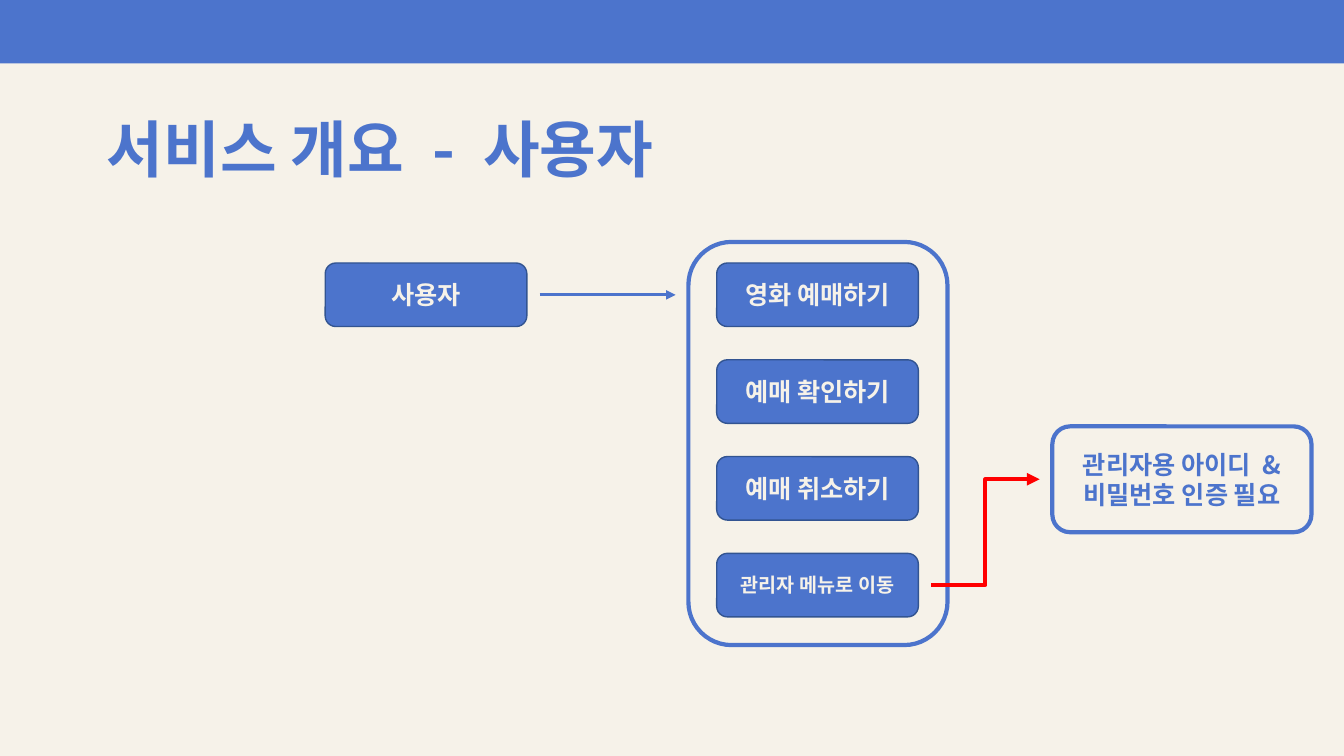
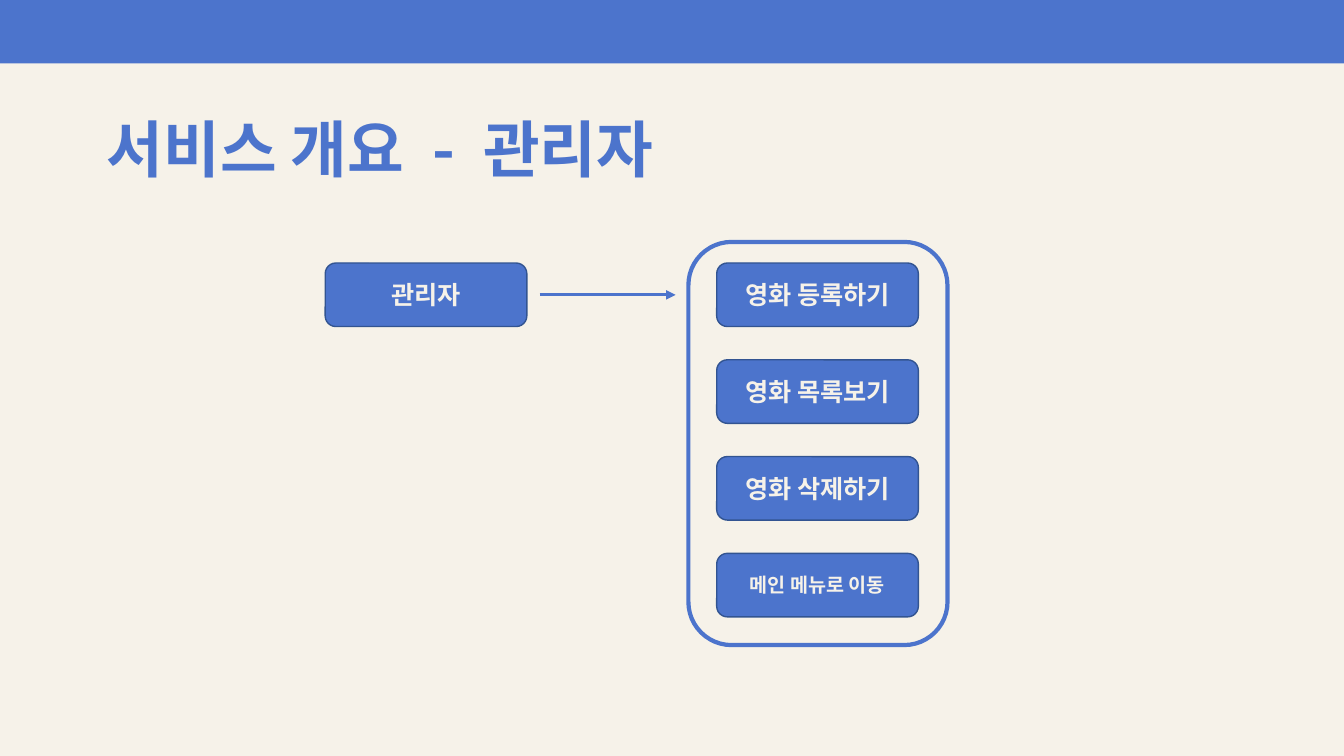
from dataclasses import dataclass

import lxml.etree
import pptx
import pptx.dml.color
import pptx.enum.shapes
import pptx.enum.text
import pptx.oxml.ns
import pptx.util

SHAPE = pptx.enum.shapes.MSO_SHAPE
CONNECTOR = pptx.enum.shapes.MSO_CONNECTOR
ALIGN = pptx.enum.text.PP_ALIGN
SLIDE_WIDTH = pptx.util.Inches(13.333)
SLIDE_HEIGHT = pptx.util.Inches(7.5)


@dataclass(frozen=True)
class Theme:
    font: str = "Noto Sans CJK KR"
    blue: str = "4C74CC"
    dark_blue: str = "325491"
    cream: str = "F6F2E9"
    red: str = "FF0000"
    title_size: float = 44
    body_size: float = 18
    small_size: float = 14
    thin_line: float = 1
    arrow_line: float = 2.25
    thick_line: float = 3


@dataclass(frozen=True)
class Area:
    """Position and size in percent of the slide."""

    left: float
    top: float
    width: float
    height: float

    @property
    def right(self) -> float:
        return self.left + self.width

    @property
    def middle(self) -> float:
        return self.top + self.height / 2


@dataclass(frozen=True)
class Style:
    fill: str
    text: str
    line: str | None = None
    line_width: float = 0


@dataclass(frozen=True)
class ServiceSlide:
    title: str
    actor: str
    actions: tuple[str, ...]
    move: str
    note: str | None = None


THEME = Theme()
SOLID = Style(THEME.blue, THEME.cream, THEME.dark_blue, THEME.thin_line)
OUTLINED = Style(THEME.cream, THEME.blue, THEME.blue, THEME.thick_line)
PLAIN = Style(THEME.blue, THEME.cream)

BAND = Area(0, 0, 100, 8.4)
TITLE = Area(7.2, 9.6, 56.18, 21.2)
PANEL = Area(51.22, 32, 19.28, 53.33)
ACTOR = Area(24.2, 34.8, 15, 8.4)
FIRST_ITEM = Area(53.33, ACTOR.top, ACTOR.width, ACTOR.height)
NOTE = Area(78.3, 56.4, PANEL.width, 14)
ITEM_PITCH = 12.8
ARROW_GAP = 0.95

SLIDES = (
    ServiceSlide(
        "서비스 개요  -  사용자",
        "사용자",
        ("영화 예매하기", "예매 확인하기", "예매 취소하기"),
        "관리자 메뉴로 이동",
        "관리자용 아이디  & 비밀번호 인증 필요",
    ),
    ServiceSlide(
        "서비스 개요  -  관리자",
        "관리자",
        ("영화 등록하기", "영화 목록보기", "영화 삭제하기"),
        "메인 메뉴로 이동",
    ),
)


def across(share: float) -> int:
    return round(SLIDE_WIDTH * share / 100)


def down(share: float) -> int:
    return round(SLIDE_HEIGHT * share / 100)


def color(value: str) -> pptx.dml.color.RGBColor:
    return pptx.dml.color.RGBColor.from_string(value)


def place(shape, area: Area) -> None:
    shape.left, shape.top = across(area.left), down(area.top)
    shape.width, shape.height = across(area.width), down(area.height)


def write(shape, text: str, size: float, text_color: str, alignment) -> None:
    frame = shape.text_frame
    frame.text = text
    frame.word_wrap = True
    frame.vertical_anchor = pptx.enum.text.MSO_ANCHOR.MIDDLE
    for paragraph in frame.paragraphs:
        paragraph.alignment = alignment
        for run in paragraph.runs:
            run.font.name = THEME.font
            run.font.size = pptx.util.Pt(size)
            run.font.bold = True
            run.font.color.rgb = color(text_color)
            lxml.etree.SubElement(
                run.font._element, pptx.oxml.ns.qn("a:ea"), typeface=THEME.font
            )


def add_box(slide, kind, area: Area, style: Style, text: str = "",
            size: float = THEME.body_size) -> None:
    shape = slide.shapes.add_shape(kind, 0, 0, 0, 0)
    place(shape, area)
    shape.shadow.inherit = False
    shape.fill.solid()
    shape.fill.fore_color.rgb = color(style.fill)
    if style.line:
        shape.line.color.rgb = color(style.line)
        shape.line.width = pptx.util.Pt(style.line_width)
    else:
        shape.line.fill.background()
    if text:
        write(shape, text, size, style.text, ALIGN.CENTER)


def add_arrow(slide, kind, source: Area, target: Area, end_height: float,
              line_color: str, width: float) -> None:
    arrow = slide.shapes.add_connector(
        kind,
        across(source.right + ARROW_GAP), down(source.middle),
        across(target.left - ARROW_GAP), down(end_height),
    )
    arrow.line.color.rgb = color(line_color)
    arrow.line.width = pptx.util.Pt(width)
    line = arrow.line._get_or_add_ln()
    lxml.etree.SubElement(line, pptx.oxml.ns.qn("a:tailEnd"), type="triangle")
    lxml.etree.SubElement(
        arrow._element.spPr, pptx.oxml.ns.qn("a:effectLst")
    )


def add_service_slide(presentation, layout, content: ServiceSlide) -> None:
    slide = presentation.slides.add_slide(layout)
    title = slide.shapes.title
    write(title, content.title, THEME.title_size, THEME.blue, ALIGN.LEFT)
    title.text_frame.auto_size = pptx.enum.text.MSO_AUTO_SIZE.NONE
    title.text_frame.paragraphs[0].line_spacing = 0.9

    add_box(slide, SHAPE.RECTANGLE, BAND, PLAIN)
    add_box(slide, SHAPE.ROUNDED_RECTANGLE, PANEL, OUTLINED)
    add_box(slide, SHAPE.ROUNDED_RECTANGLE, ACTOR, SOLID, content.actor)
    add_arrow(slide, CONNECTOR.STRAIGHT, ACTOR, PANEL, ACTOR.middle,
              THEME.blue, THEME.arrow_line)

    items = [(action, THEME.body_size) for action in content.actions]
    items.append((content.move, THEME.small_size))
    for row, (text, size) in enumerate(items):
        item = Area(FIRST_ITEM.left, FIRST_ITEM.top + row * ITEM_PITCH,
                    FIRST_ITEM.width, FIRST_ITEM.height)
        add_box(slide, SHAPE.ROUNDED_RECTANGLE, item, SOLID, text, size)

    if content.note:
        add_arrow(slide, CONNECTOR.ELBOW, item, NOTE, NOTE.middle,
                  THEME.red, THEME.thick_line)
        add_box(slide, SHAPE.ROUNDED_RECTANGLE, NOTE, OUTLINED, content.note)


def main() -> None:
    presentation = pptx.Presentation()
    presentation.slide_width = SLIDE_WIDTH
    presentation.slide_height = SLIDE_HEIGHT
    background = presentation.slide_master.background.fill
    background.solid()
    background.fore_color.rgb = color(THEME.cream)
    layout = presentation.slide_layouts.get_by_name("Title Only")
    place(layout.placeholders[0], TITLE)
    for content in SLIDES:
        add_service_slide(presentation, layout, content)
    presentation.save("out.pptx")


if __name__ == "__main__":
    main()
